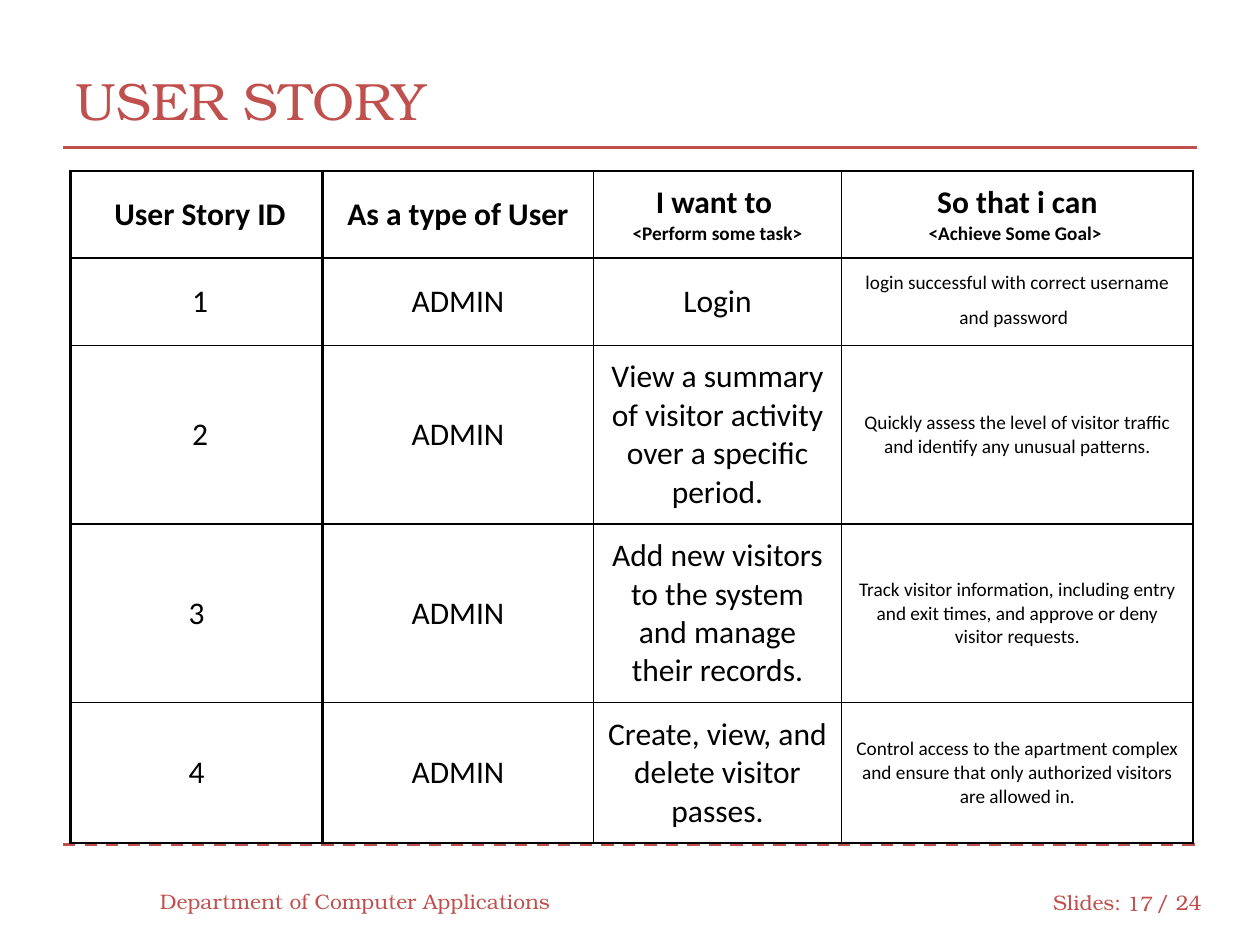
from lxml import etree
from pptx import Presentation
from pptx.dml.color import RGBColor
from pptx.enum.dml import MSO_LINE
from pptx.enum.shapes import MSO_CONNECTOR
from pptx.enum.text import MSO_ANCHOR, PP_ALIGN
from pptx.oxml.ns import qn
from pptx.util import Inches, Pt

LEFT, CENTER, RIGHT = PP_ALIGN.LEFT, PP_ALIGN.CENTER, PP_ALIGN.RIGHT
MIDDLE = MSO_ANCHOR.MIDDLE
STRAIGHT, DASH = MSO_CONNECTOR.STRAIGHT, MSO_LINE.DASH

RED = RGBColor(0xC0, 0x50, 0x4D)
BLACK = RGBColor(0, 0, 0)
WHITE = RGBColor(0xFF, 0xFF, 0xFF)
SERIF, SANS = "TeX Gyre Bonum", "Calibri"
LARGE, SMALL = 18, 11
THICK, THIN = 1.5, 0.75

TITLE = "USER STORY"
FOOTERS = [  # text, left, top, width, alignment
    ("Slides:", 8.26, 6.96, 0.75, LEFT),
    ("/ 24", 9.08, 6.96, 0.58, LEFT),
    ("Department of Computer Applications", 1.17, 6.95, 3.33, LEFT),
    ("17", 8.83, 6.97, 0.42, RIGHT),
]
RULES = [(6.7, DASH), (1.17, None)]  # height on the slide, dash

# Each heading is a main line and an optional hint below it.
HEADINGS = [
    (" User Story ID",),
    ("As a type of User",),
    ("I want to ", "<Perform some task>"),
    ("So that i can", "<Achieve Some Goal> "),
]
STORIES = [  # id, user, task, goal
    ("  1 ", "ADMIN", "Login",
     "login successful with correct username and password"),
    (" 2", "ADMIN", "View a summary of visitor activity over a specific period.",
     "Quickly assess the level of visitor traffic and identify any unusual patterns."),
    ("3", "ADMIN", "Add new visitors to the system and manage their records.",
     "Track visitor information, including entry and exit times, "
     "and approve or deny visitor requests."),
    ("4", "ADMIN", "Create, view, and delete visitor passes.",
     "Control access to the apartment complex and ensure that "
     "only authorized visitors are allowed in."),
]
COLUMN_WIDTHS = [2, 2.15, 1.97, 2.79]
ROW_HEIGHTS = [0.69, 0.69, 1.42, 1.42, 1.11]


def add_run(paragraph, text, size, font, color, bold=False):
    run = paragraph.add_run()
    run.text = text
    run.font.size, run.font.name, run.font.bold = Pt(size), font, bold
    run.font.color.rgb = color


def add_rule(slide, y, dash):
    rule = slide.shapes.add_connector(
        STRAIGHT, Inches(0.5), Inches(y), Inches(9.5), Inches(y))
    rule.line.color.rgb = RED
    rule.line.width = Pt(1.75)
    if dash:
        rule.line.dash_style = dash
    etree.SubElement(rule._element.spPr, qn("a:effectLst"))


def add_footer(slide, text, left, top, width, alignment):
    frame = slide.shapes.add_textbox(
        Inches(left), Inches(top), Inches(width), Inches(0.4)).text_frame
    frame.word_wrap = True
    frame.vertical_anchor = MIDDLE
    frame.paragraphs[0].alignment = alignment
    add_run(frame.paragraphs[0], text, 12, SERIF, RED)


def set_borders(cell, row, column):
    """Thick round the table, under the headings and after the ids."""
    last_row, last_column = len(ROW_HEIGHTS), len(COLUMN_WIDTHS)
    thick_sides = {
        "lnL": column in (0, 1),
        "lnR": column + 1 in (1, last_column),
        "lnT": row in (0, 1),
        "lnB": row + 1 in (1, last_row),
    }
    properties = cell._tc.get_or_add_tcPr()
    for position, (side, thick) in enumerate(thick_sides.items()):
        border = etree.Element(qn(f"a:{side}"), w=str(Pt(THICK if thick else THIN)))
        fill = etree.SubElement(border, qn("a:solidFill"))
        etree.SubElement(fill, qn("a:srgbClr"), val=str(BLACK))
        properties.insert(position, border)


def fill_cell(cell, paragraphs, bold):
    """Write paragraphs, each a list of (text, size) runs."""
    cell.fill.solid()
    cell.fill.fore_color.rgb = WHITE
    cell.vertical_anchor = MIDDLE
    cell.margin_left = cell.margin_right = Inches(0.1)
    cell.margin_top = cell.margin_bottom = Inches(0.1)
    frame = cell.text_frame
    for index, runs in enumerate(paragraphs):
        paragraph = frame.add_paragraph() if index else frame.paragraphs[0]
        paragraph.alignment = CENTER
        for text, size in runs:
            add_run(paragraph, text, size, SANS, BLACK, bold)


def add_stories(slide):
    table = slide.shapes.add_table(
        len(ROW_HEIGHTS), len(COLUMN_WIDTHS), Inches(0.56), Inches(1.36),
        Inches(sum(COLUMN_WIDTHS)), Inches(sum(ROW_HEIGHTS))).table
    for column, width in zip(table.columns, COLUMN_WIDTHS):
        column.width = Inches(width)
    for row, height in zip(table.rows, ROW_HEIGHTS):
        row.height = Inches(height)

    rows = [[[[part] for part in zip(heading, (LARGE, SMALL))] for heading in HEADINGS]]
    for *facts, goal in STORIES:
        rows.append([[[(fact, LARGE)]] for fact in facts] + [[[(goal, SMALL)]]])
    rows[1][-1][0].append((" ", LARGE))  # opens up the lines of the first goal

    for r, row in enumerate(rows):
        for c, paragraphs in enumerate(row):
            cell = table.cell(r, c)
            fill_cell(cell, paragraphs, bold=r == 0)
            set_borders(cell, r, c)


def main():
    deck = Presentation()
    deck.slide_width, deck.slide_height = Inches(10), Inches(7.5)
    slide = deck.slides.add_slide(deck.slide_layouts[5])

    title = slide.shapes.title
    title.left, title.top = Inches(0.5), Inches(0.33)
    title.width, title.height = Inches(9), Inches(0.92)
    title.text_frame.vertical_anchor = MIDDLE
    heading = title.text_frame.paragraphs[0]
    heading.alignment = LEFT
    add_run(heading, TITLE, 30, SERIF, RED)

    for rule in RULES:
        add_rule(slide, *rule)
    for footer in FOOTERS:
        add_footer(slide, *footer)
    add_stories(slide)
    deck.save("out.pptx")


if __name__ == "__main__":
    main()
